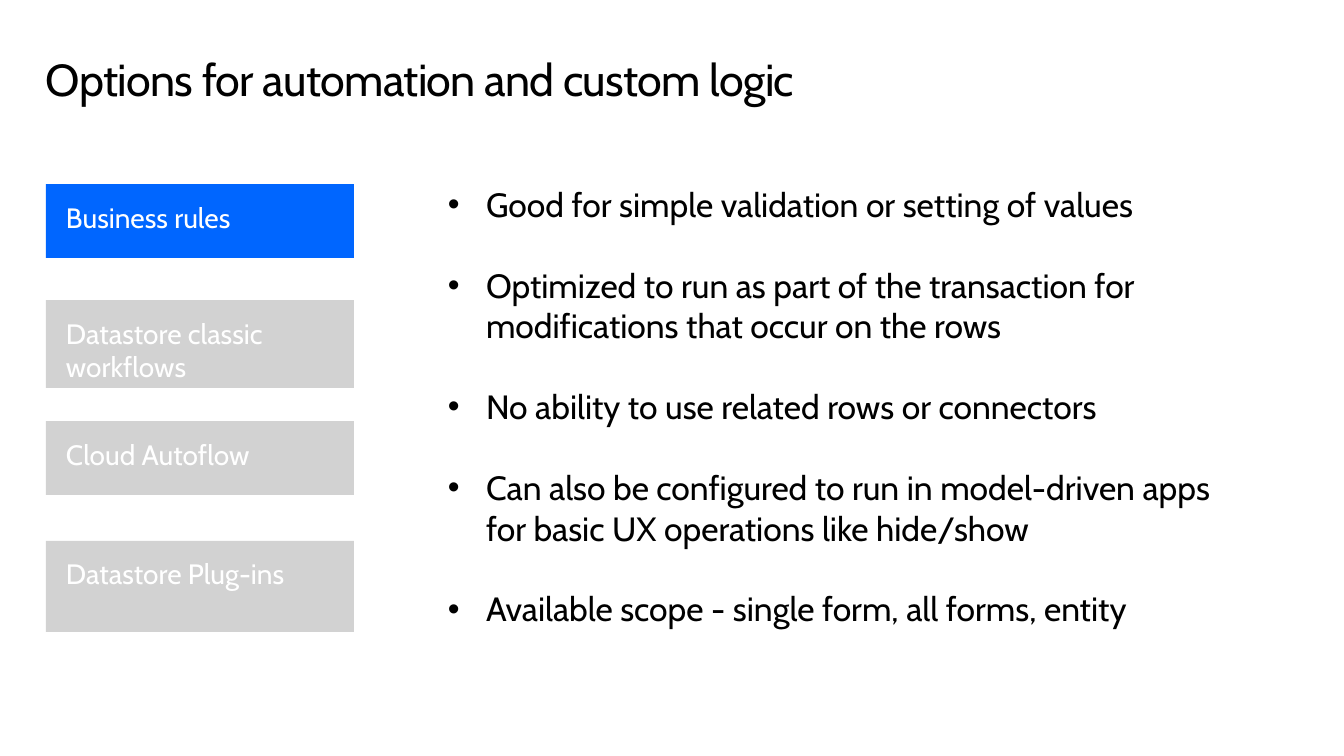
from lxml.etree import SubElement
from pptx import Presentation
from pptx.dml.color import RGBColor
from pptx.enum.shapes import MSO_SHAPE
from pptx.enum.text import MSO_ANCHOR, MSO_AUTO_SIZE, PP_ALIGN
from pptx.oxml.ns import qn
from pptx.util import Pt

SCALE = 914400 / 100.8
BLACK = RGBColor(0x00, 0x00, 0x00)
WHITE = RGBColor(0xFF, 0xFF, 0xFF)
BLUE = RGBColor(0x00, 0x66, 0xFF)
GREY = RGBColor(0xD2, 0xD2, 0xD2)


def px(length):
    """Turn a length in px into EMU."""
    return round(length * SCALE)


class Deck:
    """Hold the style and the current slide."""

    font = "Cabin"

    def __init__(self, file):
        """Add a slide with a title and a body."""
        self.slide = file.slides.add_slide(file.slide_layouts[1])

    def place(self, shape, box):
        """Move a shape to a box given in px."""
        shape.left, shape.top, shape.width, shape.height = map(px, box)

    def frame(self, shape, insets):
        """Set up the text frame of a shape."""
        frame = shape.text_frame
        frame.word_wrap = True
        frame.auto_size = MSO_AUTO_SIZE.NONE
        frame.vertical_anchor = MSO_ANCHOR.TOP
        (frame.margin_left, frame.margin_top,
         frame.margin_right, frame.margin_bottom) = map(px, insets)
        return frame

    def style(self, para, size, color):
        """Format a paragraph and its runs."""
        para.alignment = PP_ALIGN.LEFT
        for run in para.runs:
            run.font.name = self.font
            run.font.size = Pt(size)
            run.font.color.rgb = color

    def title(self, text, box):
        """Fill the title placeholder."""
        shape = self.slide.shapes.title
        self.place(shape, box)
        frame = self.frame(shape, (0, 10, 16, 10))
        frame.text = text
        para = frame.paragraphs[0]
        para.line_spacing = 0.9
        self.style(para, 32, BLACK)
        para.runs[0].font._element.set("spc", "-50")

    def tile(self, text, box, fill):
        """Add a filled label."""
        shape = self.slide.shapes.add_shape(MSO_SHAPE.RECTANGLE, *map(px, box))
        shape.shadow.inherit = False
        shape.fill.solid()
        shape.fill.fore_color.rgb = fill
        shape.line.fill.background()
        frame = self.frame(shape, (20, 16, 20, 16))
        frame.text = text
        self.style(frame.paragraphs[0], 20, WHITE)

    def points(self, items, box, indent, gap):
        """Fill the body placeholder with a bulleted list."""
        shape = self.slide.placeholders[1]
        self.place(shape, box)
        frame = self.frame(shape, (0, 0, 0, 0))
        frame.text = "\n".join(items)
        for index, para in enumerate(frame.paragraphs):
            props = para._p.get_or_add_pPr()
            props.set("marL", str(px(indent)))
            props.set("indent", str(-px(indent)))
            SubElement(props, qn("a:buFont")).set("typeface", "Arial")
            SubElement(props, qn("a:buChar")).set("char", "•")
            para.space_before = Pt(gap if index else 0)
            self.style(para, 24, BLACK)


def main():
    """Build the slide and save it."""
    file = Presentation()
    file.slide_width, file.slide_height = px(1344), px(756)
    deck = Deck(file)
    deck.title("Options for automation and custom logic", (46, 48, 1250, 75))
    tiles = [
        ("Business rules", 184, 74, BLUE),
        ("Datastore classic workflows", 300, 88, GREY),
        ("Cloud Autoflow", 421, 74, GREY),
        ("Datastore Plug-ins", 541, 91, GREY),
    ]
    for text, top, height, fill in tiles:
        deck.tile(text, (46, top, 308, height), fill)
    deck.points([
        "Good for simple validation or setting of values",
        "Optimized to run as part of the transaction for "
        "modifications that occur on the rows",
        "No ability to use related rows or connectors",
        "Can also be configured to run in model-driven apps "
        "for basic UX operations like hide/show",
        "Available scope - single form, all forms, entity",
    ], (448, 184, 775, 448), 38, 29)
    file.save("out.pptx")


if __name__ == "__main__":
    main()
